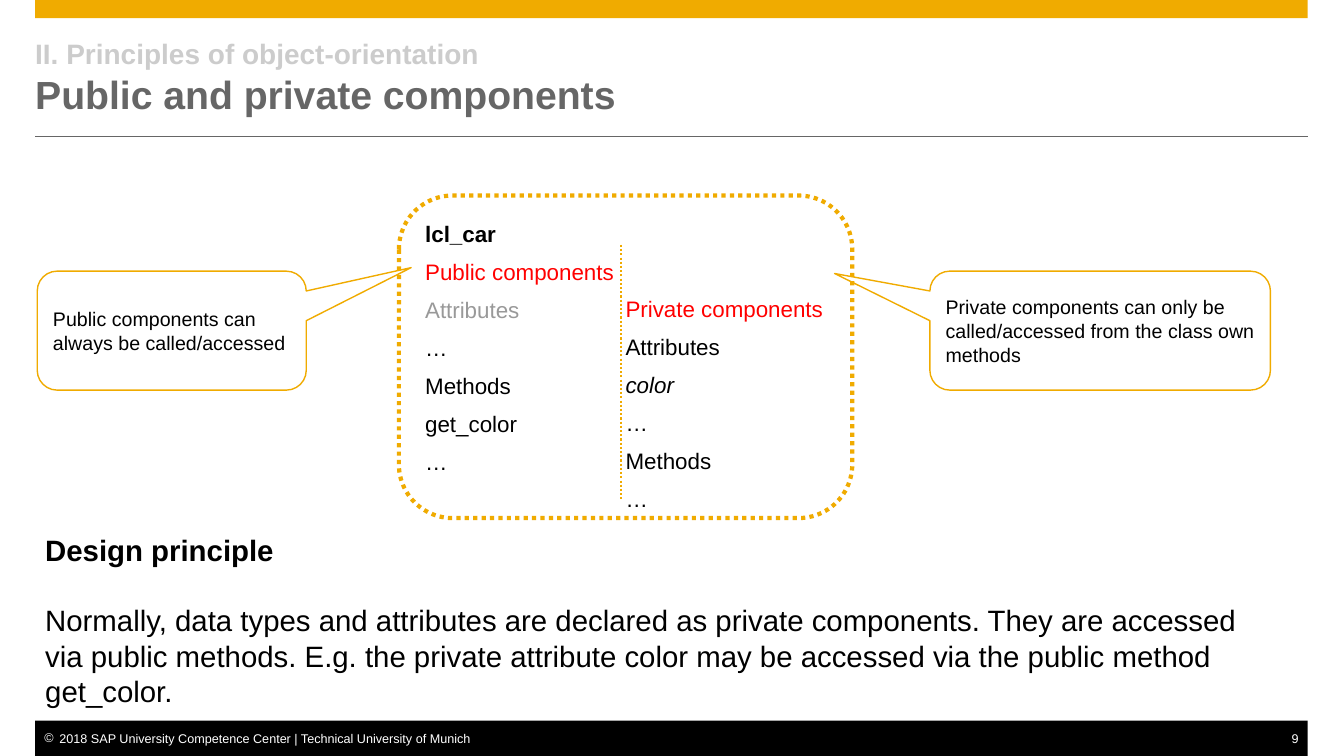
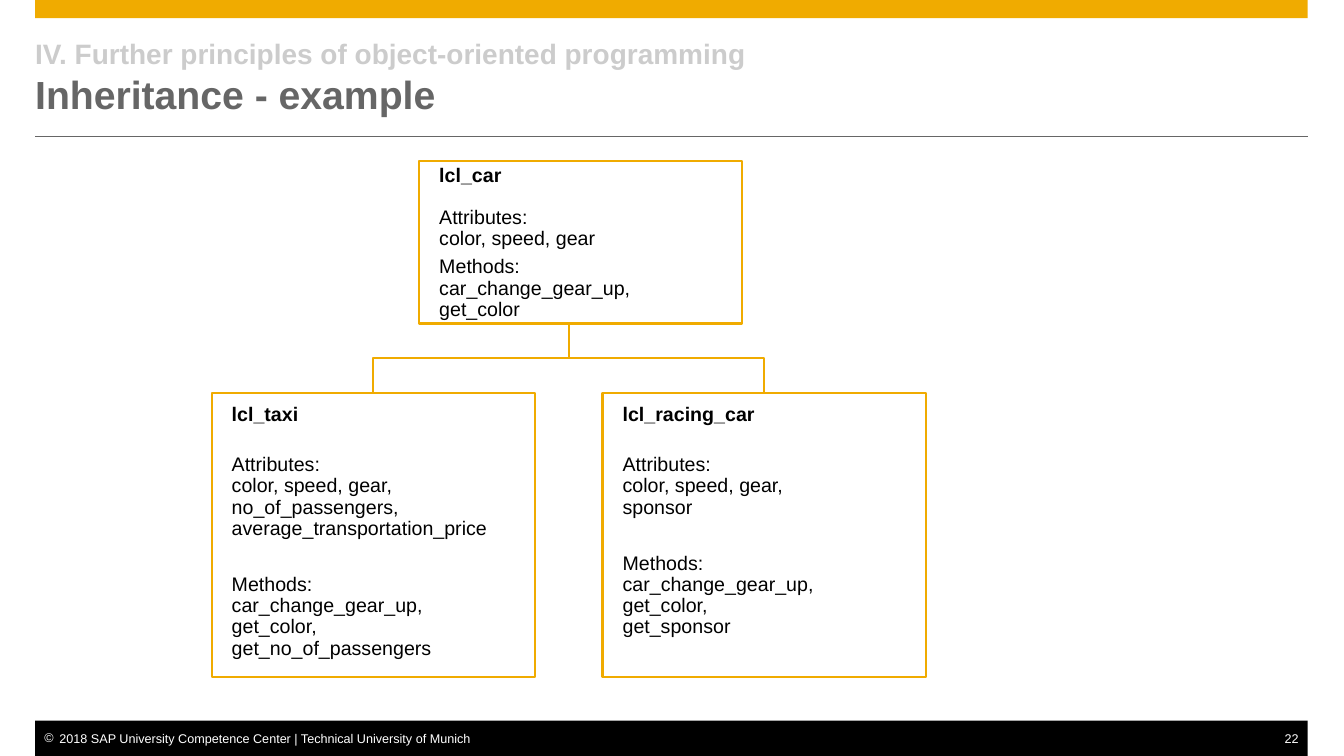
from dataclasses import dataclass

from lxml import etree
from pptx import Presentation
from pptx.dml.color import RGBColor
from pptx.enum import dml, shapes, text
from pptx.oxml import ns
from pptx.util import Inches, Pt

SHAPE = shapes.MSO_SHAPE
ANCHOR = text.MSO_ANCHOR
DOTTED = dml.MSO_LINE.ROUND_DOT


@dataclass(frozen=True)
class Theme:
    font: str = "Arial"
    gold: str = "F0AB00"
    black: str = "000000"
    white: str = "FFFFFF"
    title: str = "666666"
    chapter: str = "CCCCCC"
    muted: str = "999999"
    accent: str = "FF0000"
    title_size: int = 28
    chapter_size: int = 20
    body_size: int = 21
    member_size: int = 16
    label_size: int = 14
    footer_size: int = 9
    left: float = 0.35
    width: float = 12.63


T = Theme()


def rgb(value):
    return RGBColor.from_string(value)


def write(tf, lines, size, color=T.black, anchor=ANCHOR.TOP, margins=(0, 0, 0, 0), wrap=True, **para):
    frame = dict(zip(("margin_left", "margin_top", "margin_right", "margin_bottom"), map(Inches, margins)))
    frame |= {"word_wrap": wrap, "vertical_anchor": anchor}
    for name, value in frame.items():
        setattr(tf, name, value)
    for i, (line, fmt) in enumerate(lines):
        p = tf.paragraphs[0] if i == 0 else tf.add_paragraph()
        fmt = {"size": size, "color": color, "gap": 0, **fmt}
        layout = {"alignment": text.PP_ALIGN.LEFT, "space_before": Pt(fmt.pop("gap") if i else 0), **para}
        for name, value in layout.items():
            setattr(p, name, value)
        r = p.add_run()
        r.text = line
        r.font.color.rgb = rgb(fmt.pop("color"))
        fmt |= {"name": T.font, "size": Pt(fmt["size"])}
        for name, value in fmt.items():
            setattr(r.font, name, value)


def style_line(line, color, width, dash=None):
    line.color.rgb = rgb(color)
    line.width = Pt(width)
    if dash:
        line.dash_style = dash


def add_text(slide, box, lines, size, **fmt):
    sp = slide.shapes.add_textbox(*map(Inches, box))
    write(sp.text_frame, lines, size, **fmt)
    return sp


def add_shape(slide, kind, box, fill=None, line=None):
    sp = slide.shapes.add_shape(kind, *map(Inches, box))
    sp.shadow.inherit = False
    if fill:
        sp.fill.solid()
        sp.fill.fore_color.rgb = rgb(fill)
    else:
        sp.fill.background()
    if line:
        style_line(sp.line, *line)
    else:
        sp.line.fill.background()
    return sp


def add_line(slide, start, end, *line):
    cxn = slide.shapes.add_connector(shapes.MSO_CONNECTOR.STRAIGHT, *map(Inches, start + end))
    etree.SubElement(cxn._element.spPr, ns.qn("a:effectLst"))
    style_line(cxn.line, *line)


def add_bullet(p, char, indent):
    pPr = p._p.get_or_add_pPr()
    pPr.set("marL", str(Inches(indent)))
    pPr.set("indent", str(-Inches(indent)))
    color = etree.SubElement(pPr, ns.qn("a:buClr"))
    etree.SubElement(color, ns.qn("a:srgbClr"), val=T.white)
    etree.SubElement(pPr, ns.qn("a:buFont"), typeface=T.font)
    etree.SubElement(pPr, ns.qn("a:buChar"), char=char)


def add_slide(prs, chapter, title, number):
    slide = prs.slides.add_slide(prs.slide_layouts[6])
    add_shape(slide, SHAPE.RECTANGLE, (T.left, 0, T.width, 0.18), T.gold)
    add_line(slide, (T.left, 1.35), (T.left + T.width, 1.35), T.title, 0.5)
    add_shape(slide, SHAPE.RECTANGLE, (T.left, 7.15, T.width, 0.35), T.black)
    credit = "2018 SAP University Competence Center | Technical University of Munich"
    sp = add_text(slide, (T.left, 7.25, 4.38, 0.15), [(credit, {})], T.footer_size,
                  color=T.white, margins=(0.09, 0, 0, 0), wrap=False)
    add_bullet(sp.text_frame.paragraphs[0], "©", 0.15)
    add_text(slide, (12.48, 7.25, 0.5, 0.15), [(str(number), {})], T.footer_size,
             color=T.white, margins=(0, 0, 0.09, 0), alignment=text.PP_ALIGN.RIGHT)
    heading = [(chapter, {"size": T.chapter_size, "color": T.chapter}), (title, {})]
    add_text(slide, (T.left, 0.35, T.width, 0.83), [(line, {"bold": True, **fmt}) for line, fmt in heading],
             T.title_size, color=T.title, anchor=ANCHOR.MIDDLE)
    return slide


def add_callout(slide, box, tail, line):
    sp = add_shape(slide, SHAPE.ROUNDED_RECTANGULAR_CALLOUT, box, line=(T.gold, 1))
    for i, value in enumerate(tail):
        sp.adjustments[i] = value
    write(sp.text_frame, [(line, {})], T.label_size, anchor=ANCHOR.MIDDLE, margins=(0.1, 0.08, 0.1, 0.08))


def add_members(slide, box, members):
    add_text(slide, box, [(line, {"gap": 8, **fmt}) for line, fmt in members], T.member_size)


def add_class(slide, box, top, name, *sections):
    lines = [(name, {"bold": True})]
    for gap, *members in sections:
        lines += [(line, {"gap": 0 if i else gap}) for i, line in enumerate(members)]
    sp = add_shape(slide, SHAPE.RECTANGLE, box, line=(T.gold, 1.5))
    write(sp.text_frame, lines, T.label_size, margins=(0.2, top, 0.24, 0), line_spacing=0.9)


def add_branch(slide, *points):
    start, *rest = [tuple(map(Inches, point)) for point in points]
    builder = slide.shapes.build_freeform(*start)
    builder.add_line_segments(rest, close=False)
    sp = builder.convert_to_shape()
    sp.shadow.inherit = False
    sp.fill.background()
    style_line(sp.line, T.gold, 1.5)


def build_components(prs):
    slide = add_slide(prs, "II. Principles of object-orientation", "Public and private components", 9)
    add_shape(slide, SHAPE.ROUNDED_RECTANGLE, (3.96, 1.94, 4.5, 3.2), T.white, (T.gold, 3, DOTTED))
    add_members(slide, (4.22, 2.18, 1.95, 2.6), [
        ("lcl_car", {"bold": True}), ("Public components", {"color": T.accent}),
        ("Attributes", {"color": T.muted}), ("…", {}), ("Methods", {}), ("get_color", {}), ("…", {})])
    add_members(slide, (6.21, 2.93, 2.1, 2.2), [
        ("Private components", {"color": T.accent}), ("Attributes", {}),
        ("color", {"italic": True}), ("…", {}), ("Methods", {}), ("…", {})])
    add_line(slide, (6.16, 2.43), (6.16, 4.96), T.gold, 1.5, DOTTED)
    add_callout(slide, (0.37, 2.69, 2.67, 1.18), (0.89, -0.53),
                "Public components can always be called/accessed")
    add_callout(slide, (9.23, 2.69, 3.38, 1.18), (-0.78, -0.48),
                "Private components can only be called/accessed from the class own methods")
    principle = ("Normally, data types and attributes are declared as private components. They are accessed via "
                 "public methods. E.g. the private attribute color may be accessed via the public method get_color.")
    add_text(slide, (T.left, 5.23, 12.25, 1.87),
             [("Design principle", {"bold": True}), (principle, {"gap": 25})],
             T.body_size, margins=(0.1, 0.05, 0.1, 0.05))


def build_inheritance(prs):
    slide = add_slide(prs, "IV. Further principles of object-oriented programming", "Inheritance - example", 22)
    width, parent_top, parent_height, child_top, child_height = 3.21, 1.6, 1.61, 3.9, 2.82
    add_class(slide, (4.16, parent_top, width, parent_height), 0.04, "lcl_car",
              (15, "Attributes:", "color, speed, gear"),
              (5, "Methods:", "car_change_gear_up,", "get_color"))
    children = [
        (2.1, "lcl_taxi",
         (21, "Attributes:", "color, speed, gear,", "no_of_passengers, average_transportation_price"),
         (25, "Methods:", "car_change_gear_up,", "get_color,", "get_no_of_passengers")),
        (5.98, "lcl_racing_car",
         (21, "Attributes:", "color, speed, gear,", "sponsor"),
         (25, "Methods:", "car_change_gear_up, get_color,", "get_sponsor")),
    ]
    centers = [left + width / 2 for left, *_ in children]
    trunk = sum(centers) / len(centers)
    parent_bottom = parent_top + parent_height
    middle = (parent_bottom + child_top) / 2
    for center, (left, name, *sections) in zip(centers, children):
        add_class(slide, (left, child_top, width, child_height), 0.11, name, *sections)
        add_branch(slide, (trunk, parent_bottom), (trunk, middle), (center, middle), (center, child_top))


def main():
    prs = Presentation()
    prs.slide_width, prs.slide_height = Inches(13.34), Inches(7.5)
    build_components(prs)
    build_inheritance(prs)
    prs.save("out.pptx")


if __name__ == "__main__":
    main()
